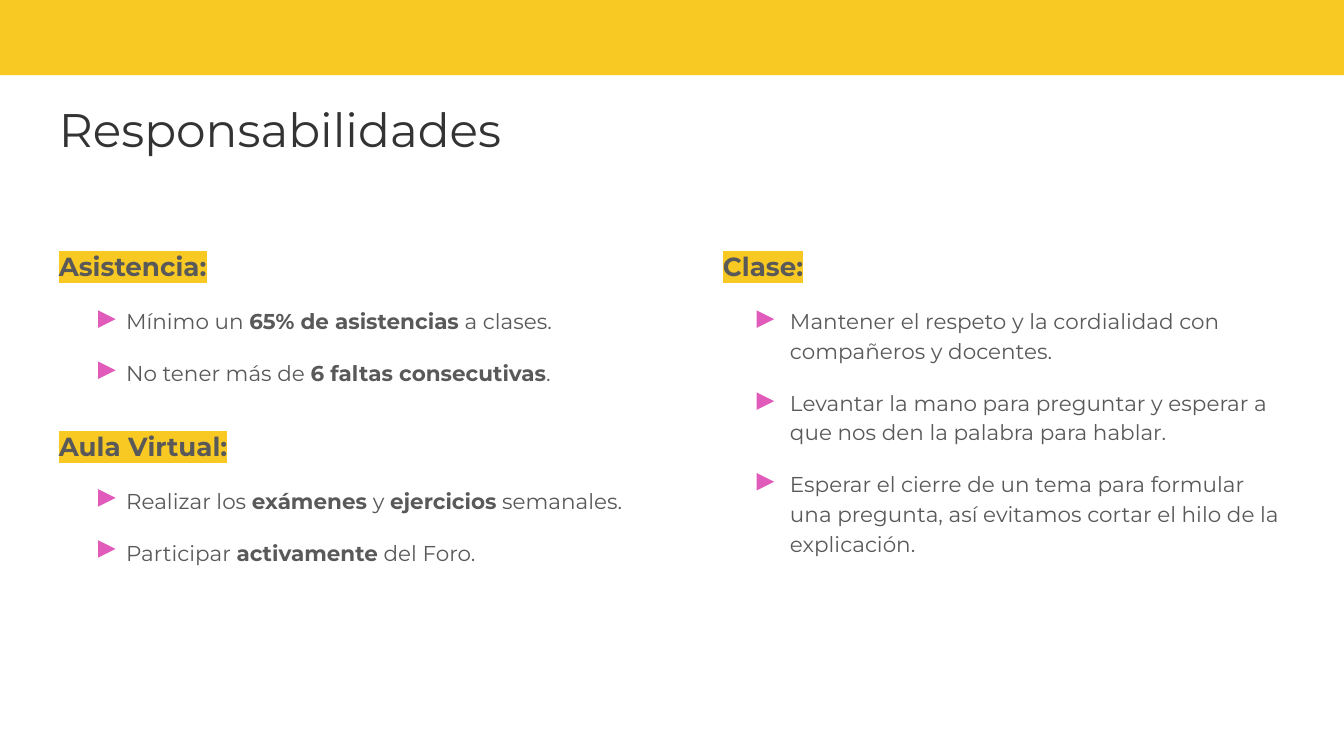
from lxml import etree
from pptx import Presentation
from pptx import util as u
from pptx.dml.color import RGBColor
from pptx.enum import shapes, text
from pptx.oxml import ns

COLORS = {"yellow": "F8C823", "pink": "E15BBA", "title": "333333", "body": "595959"}
FONT = "Montserrat"
MARKER = 0.13

SECTIONS = [
    {
        "box": (0.34, 1.73, 4.37, 1.23),
        "heading": "Asistencia:",
        "items": [
            "Mínimo un **65% de asistencias** a clases.",
            "No tener más de **6 faltas consecutivas**.",
        ],
        "marker_left": 0.39,
        "marker_tops": [0.58, 0.96],
    },
    {
        "box": (0.34, 3.07, 4.73, 1.23),
        "heading": "Aula Virtual:",
        "items": [
            "Realizar los **exámenes** y **ejercicios** semanales.",
            "Participar **activamente** del Foro.",
        ],
        "marker_left": 0.39,
        "marker_tops": [0.57, 0.95],
    },
    {
        "box": (5.28, 1.73, 4.37, 2.51),
        "heading": "Clase:",
        "items": [
            "Mantener el respeto y la cordialidad con compañeros y docentes.",
            "Levantar la mano para preguntar y esperar a que nos den la palabra para hablar.",
            "Esperar el cierre de un tema para formular una pregunta, así evitamos cortar "
            "el hilo de la explicación.",
        ],
        "marker_left": 0.35,
        "marker_tops": [0.58, 1.19, 1.79],
    },
]


def color(name):
    return RGBColor.from_string(COLORS[name])


def add_filled(page, kind, bounds, fill):
    shape = page.shapes.add_shape(kind, *map(u.Inches, bounds))
    shape.shadow.inherit = False
    shape.fill.solid()
    shape.fill.fore_color.rgb = color(fill)
    shape.line.fill.background()
    return shape


def add_text_box(page, bounds):
    box = page.shapes.add_textbox(*map(u.Inches, bounds))
    frame = box.text_frame
    frame.word_wrap = True
    frame.vertical_anchor = text.MSO_ANCHOR.TOP
    frame.margin_left = frame.margin_right = u.Inches(0.1)
    frame.margin_top = frame.margin_bottom = u.Inches(0.1)
    return frame


def style(span, size, ink, bold=False):
    span.font.name = FONT
    span.font.size = u.Pt(size)
    span.font.bold = bold
    span.font.color.rgb = color(ink)


def highlight(span, name):
    mark = etree.Element(ns.qn("a:highlight"))
    etree.SubElement(mark, ns.qn("a:srgbClr"), val=COLORS[name])
    span.font._element.find(ns.qn("a:solidFill")).addnext(mark)


def add_header(page, bounds):
    left, top, width, height = bounds
    add_filled(page, shapes.MSO_SHAPE.RECTANGLE, bounds, "yellow")
    frame = add_text_box(page, (left + 0.35, top + 0.7, width - 0.71, 0.63))
    frame.text = "Responsabilidades"
    style(frame.paragraphs[0].runs[0], 25.2, "title")


def add_item(frame, item):
    para = frame.add_paragraph()
    para.line_spacing = 1.15
    para.space_before = u.Pt(12)
    para._p.get_or_add_pPr().set("marL", str(u.Inches(0.5)))
    for index, part in enumerate(item.split("**")):
        span = para.add_run()
        span.text = part
        style(span, 11.5, "body", bold=index % 2 == 1)
    return para


def add_section(page, section):
    left, top = section["box"][:2]
    frame = add_text_box(page, section["box"])
    frame.text = section["heading"]
    heading = frame.paragraphs[0]
    heading.line_spacing = 1.15
    style(heading.runs[0], 14, "body", bold=True)
    highlight(heading.runs[0], "yellow")
    for item, offset in zip(section["items"], section["marker_tops"]):
        para = add_item(frame, item)
        bounds = (left + section["marker_left"], top + offset, MARKER, MARKER)
        marker = add_filled(page, shapes.MSO_SHAPE.ISOSCELES_TRIANGLE, bounds, "pink")
        marker.rotation = 90
    para.space_after = u.Pt(12)


def main():
    deck = Presentation()
    deck.slide_width = u.Inches(10)
    deck.slide_height = deck.slide_width * 9 // 16
    page = deck.slides.add_slide(deck.slide_layouts[6])
    add_header(page, (-0.01, -0.05, 10.03, 0.61))
    for section in SECTIONS:
        add_section(page, section)
    deck.save("out.pptx")


if __name__ == "__main__":
    main()
